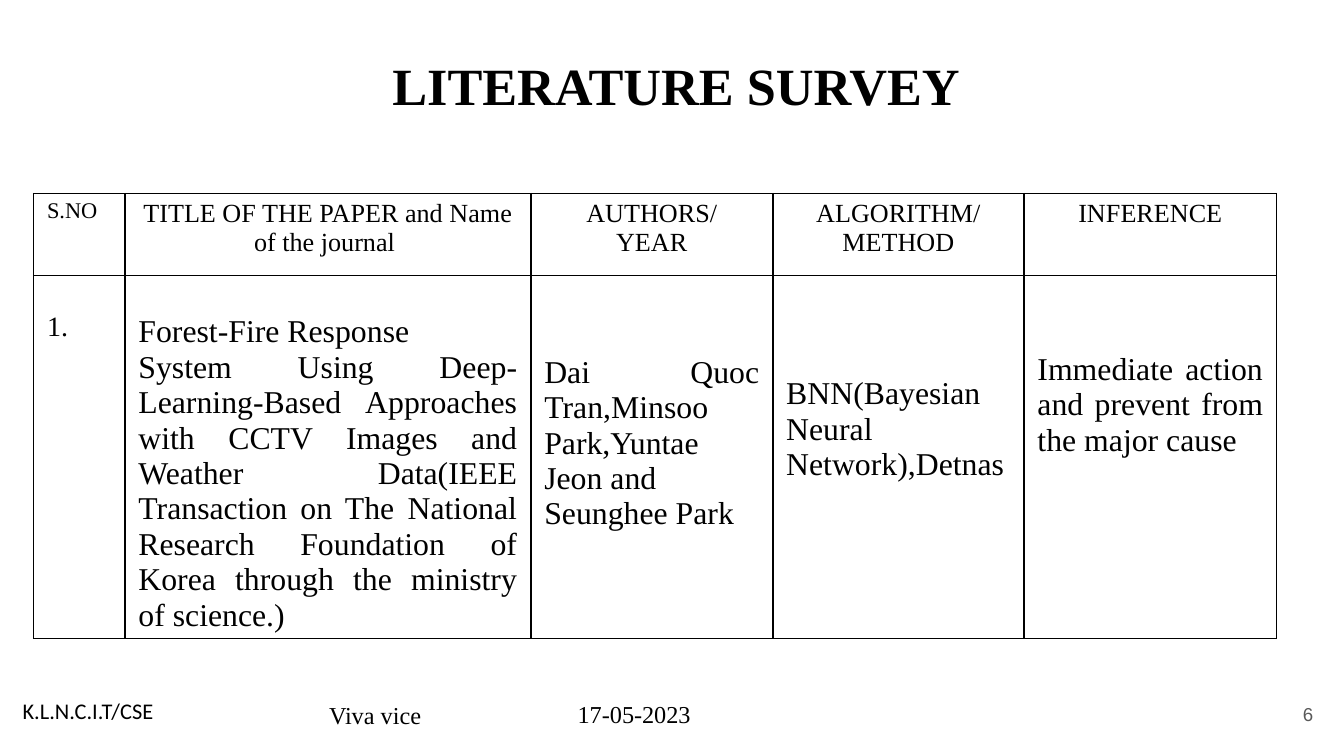
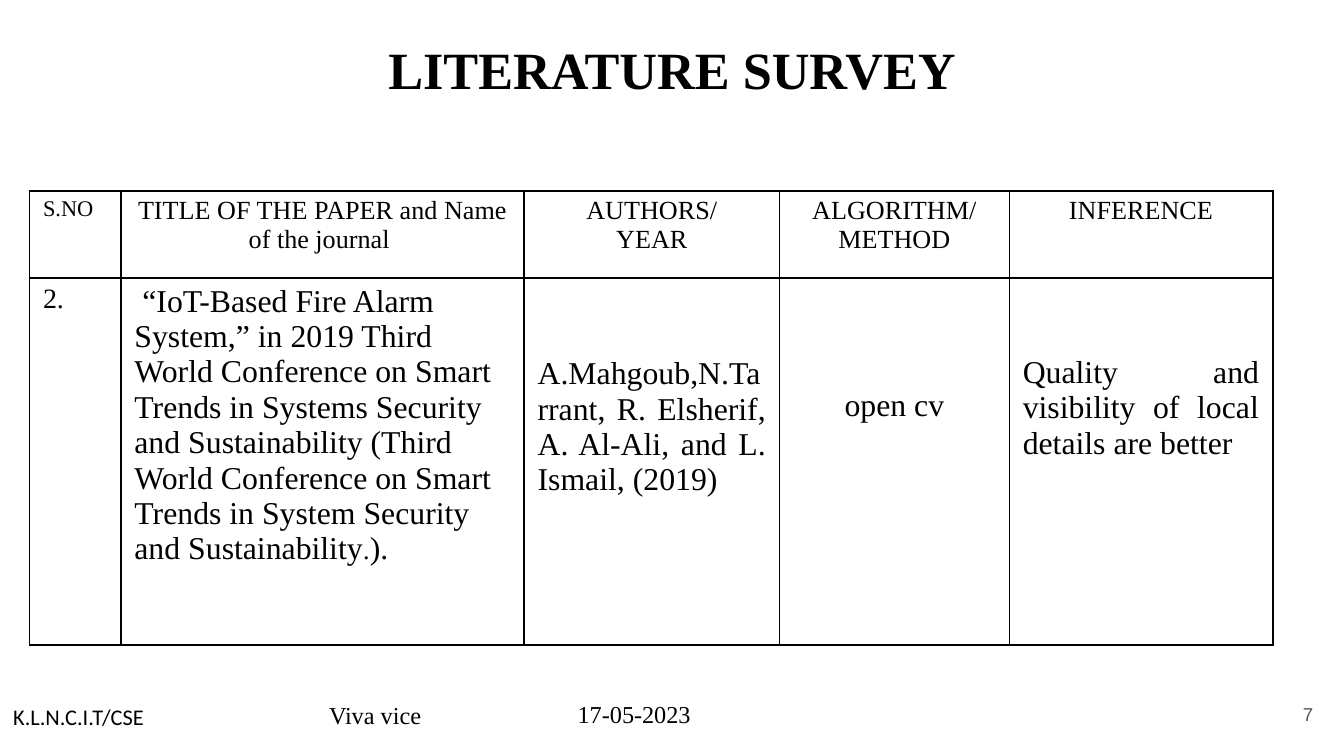
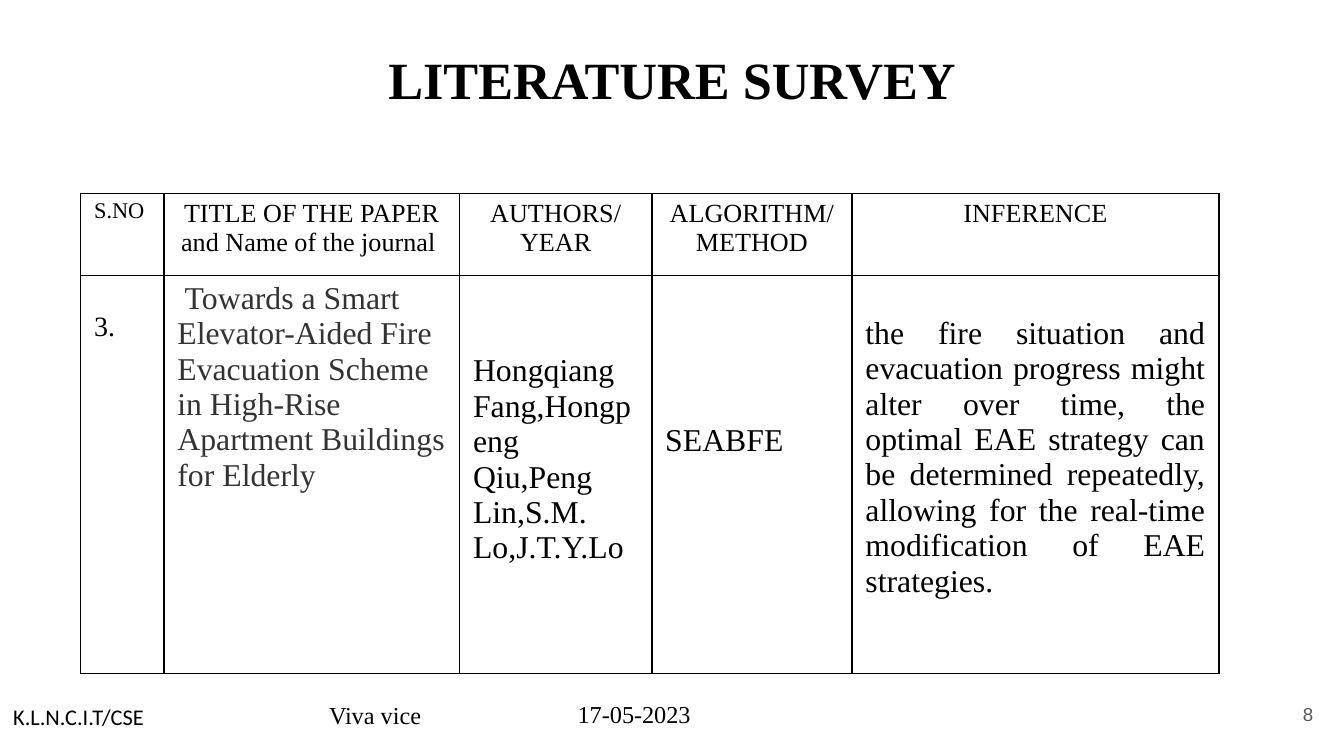
from pptx import Presentation
from pptx.dml.color import RGBColor
from pptx.enum import text as t
from pptx.oxml import parse_xml
from pptx.oxml.ns import nsdecls
from pptx.util import Inches, Pt

HUES = {"ink": "000000", "soft": "333333", "page": "595959"}
SERIF, SANS, PLAIN = "Times New Roman", "Calibri", "Arial"
LEFT, MID, RIGHT, JUST = (t.PP_ALIGN.LEFT, t.PP_ALIGN.CENTER,
                          t.PP_ALIGN.RIGHT, t.PP_ALIGN.JUSTIFY)

HEADS = [
    ["S.NO"],
    ["TITLE OF THE PAPER and Name of the journal "],
    ["AUTHORS/", "YEAR"],
    ["ALGORITHM/", "METHOD"],
    ["INFERENCE"],
]

SURVEYS = [
    {
        "page": "6", "title": (0.25, 0.35, 8.17, 0.57), "pad": 0.05,
        "unit": (0.07, 5.09), "table": (0.25, 1.44),
        "cols": [0.68, 3.02, 1.8, 1.87, 1.88], "rows": [0.61, 2.7],
        "cells": [
            (0.27, LEFT, [[("1.", 15)]]),
            (0.29, JUST, [
                [("Forest-Fire Response", 17)],
                [("System Using Deep-Learning-Based Approaches with CCTV "
                  "Images and Weather Data(IEEE Transaction on The National "
                  "Research Foundation of Korea through the ministry of "
                  "science.)", 17)]]),
            (0.59, JUST, [
                [("Dai Quoc Tran,Minsoo Park,Yuntae Jeon and ", 17)],
                [("Seunghee Park", 17)]]),
            (0.75, JUST, [[("BNN(Bayesian Neural Network),Detnas", 17)]]),
            (0.57, JUST, [
                [("Immediate action and prevent from the major cause", 17)]]),
        ],
    },
    {
        "page": "7", "title": (0.22, 0.18, 8.47, 0.91), "pad": 0.1,
        "unit": (0, 5.13), "table": (0.22, 1.42),
        "cols": [0.68, 3, 1.9, 1.71, 1.96], "rows": [0.65, 2.73],
        "cells": [
            (0.04, LEFT, [[("2.", 15)]]),
            (0.04, LEFT, [
                [(" “IoT-Based Fire Alarm System,” in 2019 Third World "
                  "Conference on Smart Trends in Systems Security and "
                  "Sustainability (Third World Conference on Smart Trends in "
                  "System Security and Sustainability", 17),
                 (".", 14), (").", 17)]]),
            (0.58, JUST, [
                [("A.Mahgoub,N.Tarrant, R. Elsherif, A. Al-Ali, and "
                  "L. Ismail, (2019)", 17)]]),
            (0.82, MID, [[("open cv", 17)]]),
            (0.57, JUST, [
                [("Quality and visibility of local details are better ", 17)]]),
        ],
    },
    {
        "page": "8", "title": (0.22, 0.25, 8.47, 0.91), "pad": 0.1,
        "unit": (0, 5.13), "table": (0.6, 1.44),
        "cols": [0.62, 2.2, 1.43, 1.49, 2.73], "rows": [0.61, 2.96],
        "cells": [
            (0.27, LEFT, [[("3.", 15)]]),
            (0.04, LEFT, [
                [(" Towards a Smart Elevator-Aided Fire Evacuation Scheme in "
                  "High-Rise Apartment Buildings for Elderly", 17, "soft")]]),
            (0.58, JUST, [
                [("Hongqiang Fang,Hongpeng Qiu,Peng Lin,S.M. Lo,J.T.Y.Lo",
                  17)]]),
            (1.1, LEFT, [[("SEABFE", 17)]]),
            (0.3, JUST, [
                [("the fire situation and evacuation progress might alter "
                  "over time, the optimal EAE strategy can be determined "
                  "repeatedly, allowing for the real-time modification of "
                  "EAE strategies.", 17)]]),
        ],
    },
]


def add_run(para, words, size, hue="ink", face=SERIF, bold=False):
    run = para.add_run()
    run.text = words
    font = run.font
    font.size, font.name, font.bold = Pt(size), face, bold
    font.color.rgb = RGBColor.from_string(HUES[hue])


def add_text(slide, box, words, size, hue="ink", face=SERIF, bold=False,
             align=LEFT, left=0.1, pad=0.1, anchor=t.MSO_ANCHOR.TOP):
    frame = slide.shapes.add_textbox(*map(Inches, box)).text_frame
    frame.word_wrap = True
    frame.vertical_anchor = anchor
    frame.margin_left, frame.margin_right = Inches(left), Inches(0.1)
    frame.margin_top = frame.margin_bottom = Inches(pad)
    para = frame.paragraphs[0]
    para.alignment = align
    add_run(para, words, size, hue, face, bold)


def add_edges(cell):
    props = cell._tc.get_or_add_tcPr()
    for side in "LRTB":
        props.append(parse_xml(
            f'<a:ln{side} {nsdecls("a")} w="12700"><a:solidFill>'
            f'<a:srgbClr val="{HUES["ink"]}"/></a:solidFill></a:ln{side}>'))


def fill_cell(cell, top, align, paras):
    add_edges(cell)
    cell.fill.background()
    cell.margin_left = cell.margin_right = Inches(0.1)
    cell.margin_top, cell.margin_bottom = Inches(top), Inches(0.04)
    frame = cell.text_frame
    for i, runs in enumerate(paras):
        para = frame.add_paragraph() if i else frame.paragraphs[0]
        para.alignment = align
        for run in runs:
            add_run(para, *run)


def add_grid(slide, spot, cols, rows, cells):
    box = (*spot, sum(cols), sum(rows))
    grid = slide.shapes.add_table(
        len(rows), len(cols), *map(Inches, box)).table
    grid.first_row = grid.horz_banding = False
    for col, width in zip(grid.columns, cols):
        col.width = Inches(width)
    for row, height in zip(grid.rows, rows):
        row.height = Inches(height)
    for i, (head, body) in enumerate(zip(HEADS, cells)):
        size, align = (14, MID) if i else (12, LEFT)
        fill_cell(grid.cell(0, i), 0.04, align,
                  [[(line, size)] for line in head])
        fill_cell(grid.cell(1, i), *body)


def add_foot(slide, unit, page):
    add_text(slide, (*unit, 3.28, 0.4), "K.L.N.C.I.T/CSE", 12, face=SANS)
    add_text(slide, (9.27, 5.1, 0.6, 0.43), page, 10, "page", PLAIN,
             align=RIGHT, anchor=t.MSO_ANCHOR.MIDDLE)
    add_text(slide, (2.35, 5.11, 1.2, 0.42), "Viva vice", 13)
    add_text(slide, (4.2, 5.1, 1.53, 0.42), "17-05-2023", 13)


def add_survey(deck, data):
    slide = deck.slides.add_slide(deck.slide_layouts[6])
    add_grid(slide, data["table"], data["cols"], data["rows"], data["cells"])
    add_text(slide, data["title"], "LITERATURE SURVEY", 28, bold=True,
             left=2.67, pad=data["pad"])
    add_foot(slide, data["unit"], data["page"])


def main():
    deck = Presentation()
    deck.slide_width = Inches(10)
    deck.slide_height = deck.slide_width * 9 // 16
    for data in SURVEYS:
        add_survey(deck, data)
    deck.save("out.pptx")


if __name__ == "__main__":
    main()
